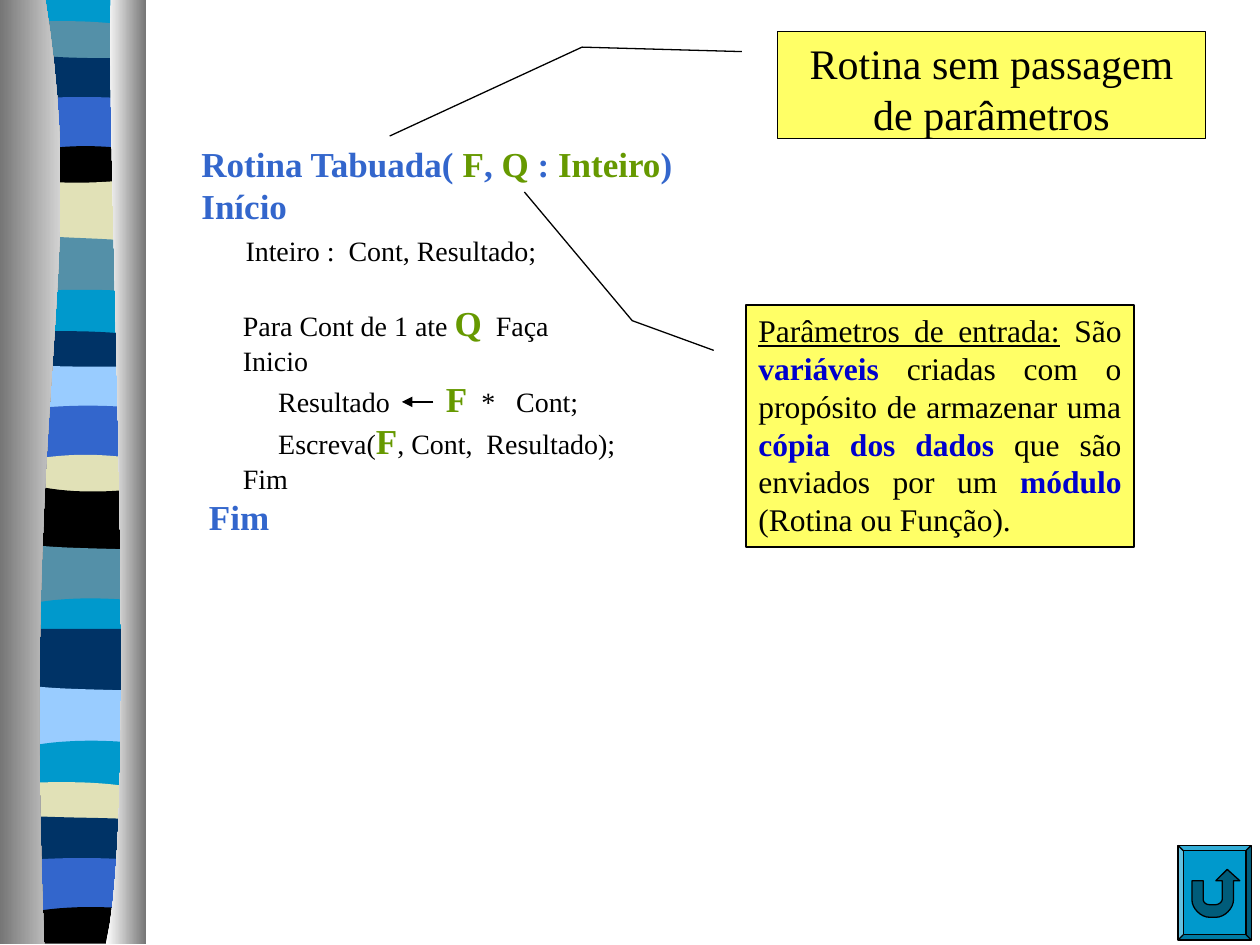
from dataclasses import dataclass
from typing import NamedTuple

from lxml import etree
from pptx import Presentation
from pptx.dml.color import RGBColor
from pptx.enum.shapes import MSO_CONNECTOR, MSO_SHAPE
from pptx.enum.text import MSO_ANCHOR, PP_ALIGN
from pptx.oxml.ns import qn
from pptx.util import Inches, Pt

CALLOUT, BEVEL = MSO_SHAPE.LINE_CALLOUT_2, MSO_SHAPE.BEVEL
STRAIGHT = MSO_CONNECTOR.STRAIGHT
LEFT, CENTER, JUSTIFY = PP_ALIGN.LEFT, PP_ALIGN.CENTER, PP_ALIGN.JUSTIFY
TOP = MSO_ANCHOR.TOP
FONT = "Times New Roman"
COLORS = {
    "black": "000000", "white": "FFFFFF", "silver": "D3D3D3", "gray": "767676",
    "cyan": "0099CC", "steel": "5490A8", "navy": "003366", "blue": "3366CC",
    "sand": "E1E1B7", "sky": "99CCFF", "green": "669900", "yellow": "FFFF66",
    "deep blue": "0000CC", "dark cyan": "005C7A",
}


class Span(NamedTuple):
    text: str
    size: float = 16
    color: str = "black"
    bold: bool = False
    underline: bool = False
    spacing: float = 0  # extra points after each character


class Line(NamedTuple):
    spans: list[Span]
    indent: float = 0
    before: float = 0


class Band(NamedTuple):
    color: str
    left: float
    middle: float
    right: float


@dataclass
class Callout:
    box: tuple[float, float, float, float]
    adjustments: list[float]
    align: PP_ALIGN
    spans: list[Span]


def rgb(name: str) -> RGBColor:
    return RGBColor.from_string(COLORS[name])


def curve(start, control_1, control_2, end, steps=24) -> list:
    """Points along a cubic curve, both ends included."""
    points = []
    for step in range(steps + 1):
        t = step / steps
        weights = ((1 - t) ** 3, 3 * t * (1 - t) ** 2, 3 * t * t * (1 - t), t ** 3)
        corners = (start, control_1, control_2, end)
        points.append(tuple(sum(w * c[axis] for w, c in zip(weights, corners))
                            for axis in (0, 1)))
    return points


def add_outline(slide, points: list):
    start, *rest = [(Inches(x), Inches(y)) for x, y in points]
    builder = slide.shapes.build_freeform(*start)
    builder.add_line_segments(rest, close=True)
    shape = builder.convert_to_shape()
    shape.shadow.inherit = False
    shape.line.fill.background()
    return shape


def fill_solid(shape, color: str, outlined: bool = False) -> None:
    shape.fill.solid()
    shape.fill.fore_color.rgb = rgb(color)
    if outlined:
        shape.line.color.rgb = rgb("black")
        shape.line.width = Pt(0.75)


def fill_gradient(shape, first: str, last: str) -> None:
    shape.fill.gradient()
    shape.fill.gradient_angle = 0
    for stop, color in zip(shape.fill.gradient_stops, (first, last)):
        stop.color.rgb = rgb(color)


def add_band(slide, band: Band, bottom: float) -> None:
    left, right = 0.3, 1.0
    # Control height that makes the wave pass through the band's middle
    control = (4 * band.middle - (band.left + band.right) / 2) / 3
    wave = curve((left, band.left), (0.53, control), (0.77, control), (right, band.right), 12)
    fill_solid(add_outline(slide, wave + [(right, bottom), (left, bottom)]), band.color)


def write_spans(paragraph, spans: list[Span]) -> None:
    for span in spans:
        run = paragraph.add_run()
        run.text = span.text
        run.font.name, run.font.size = FONT, Pt(span.size)
        run.font.bold, run.font.underline = span.bold, span.underline
        run.font.color.rgb = rgb(span.color)
        if span.spacing:
            run._r.get_or_add_rPr().set("spc", str(round(span.spacing * 100)))


def add_code(slide, lines: list[Line]) -> None:
    box = slide.shapes.add_textbox(Inches(1.5), Inches(1.08), Inches(4.08), Inches(3.24))
    frame = box.text_frame
    frame.word_wrap = True
    for index, line in enumerate(lines):
        paragraph = frame.add_paragraph() if index else frame.paragraphs[0]
        paragraph.alignment = LEFT
        paragraph.space_before = Pt(line.before)
        properties = paragraph._p.get_or_add_pPr()
        properties.set("marL", "0")
        properties.set("indent", str(Inches(line.indent)))
        write_spans(paragraph, line.spans)


def add_callout(slide, callout: Callout) -> None:
    shape = slide.shapes.add_shape(CALLOUT, *map(Inches, callout.box))
    shape.shadow.inherit = False
    fill_solid(shape, "yellow", outlined=True)
    for index, value in enumerate(callout.adjustments):
        shape.adjustments[index] = value
    frame = shape.text_frame
    frame.word_wrap, frame.vertical_anchor = True, TOP
    frame.paragraphs[0].alignment = callout.align
    write_spans(frame.paragraphs[0], callout.spans)


def add_arrow(slide, start: tuple, end: tuple) -> None:
    arrow = slide.shapes.add_connector(STRAIGHT, *map(Inches, start + end))
    arrow.line.color.rgb = rgb("black")
    arrow.line.width = Pt(0.75)
    etree.SubElement(arrow.line._get_or_add_ln(), qn("a:tailEnd"), type="triangle")
    etree.SubElement(arrow._element.spPr, qn("a:effectLst"))


def add_return_button(slide) -> None:
    button = slide.shapes.add_shape(BEVEL, *map(Inches, (9.35, 6.71, 0.58, 0.75)))
    button.shadow.inherit = False
    button.adjustments[0] = 0.07
    fill_solid(button, "cyan", outlined=True)
    inner = (curve((9.55, 7.14), (9.55, 7.16), (9.57, 7.18), (9.6, 7.18), 6)
             + curve((9.65, 7.18), (9.67, 7.18), (9.7, 7.16), (9.7, 7.14), 6))
    head = [(9.7, 6.99), (9.65, 6.99), (9.74, 6.9), (9.84, 6.99), (9.79, 6.99)]
    outer = (curve((9.79, 7.14), (9.79, 7.21), (9.72, 7.28), (9.65, 7.28), 8)
             + curve((9.6, 7.28), (9.53, 7.28), (9.46, 7.21), (9.46, 7.14), 8))
    arrow = add_outline(slide, [(9.46, 6.99), (9.55, 6.99)] + inner + head + outer)
    fill_solid(arrow, "dark cyan", outlined=True)


BANDS = [
    Band("cyan", 0, 0, 0), Band("steel", 0.17, 0.17, 0.2),
    Band("navy", 0.44, 0.46, 0.46), Band("blue", 0.78, 0.77, 0.78),
    Band("black", 1.19, 1.16, 1.18), Band("sand", 1.44, 1.45, 1.43),
    Band("steel", 1.87, 1.89, 1.91), Band("cyan", 2.31, 2.3, 2.31),
    Band("navy", 2.63, 2.63, 2.65), Band("sky", 2.9, 2.91, 2.91),
    Band("blue", 3.24, 3.22, 3.23), Band("sand", 3.64, 3.61, 3.63),
    Band("black", 3.86, 3.9, 3.89), Band("steel", 4.33, 4.35, 4.36),
    Band("cyan", 4.78, 4.75, 4.76), Band("navy", 4.99, 4.99, 4.99),
    Band("sky", 5.45, 5.47, 5.48), Band("cyan", 5.91, 5.88, 5.89),
    Band("sand", 6.21, 6.21, 6.24), Band("navy", 6.48, 6.49, 6.5),
    Band("blue", 6.82, 6.81, 6.82), Band("black", 7.23, 7.2, 7.21),
]


def keyword(text: str, color: str = "blue") -> Span:
    return Span(text, 20, color, True)


def strong(text: str) -> Span:
    return Span(text, 18, "deep blue", True)


CODE = [
    Line([keyword("Rotina Tabuada( "), keyword("F", "green"), keyword(", "),
          keyword("Q ", "green"), keyword(": "), keyword("Inteiro", "green"), keyword(")")]),
    Line([keyword("Início")]),
    Line([Span("Inteiro :  Cont, Resultado;")], 0.35, 4),
    Line([Span("Para Cont de 1 ate "), keyword("Q", "green"), Span("  Faça")], 0.33, 20),
    Line([Span("Inicio")], 0.33),
    # The widened space leaves room for the assignment arrow
    Line([Span("Resultado"), Span(" ", spacing=28), keyword("F", "green"),
          Span("  *   Cont;")], 0.61),
    Line([Span("Escreva("), keyword("F", "green"), Span(", Cont,  Resultado);")], 0.61),
    Line([Span("Fim")], 0.33),
    Line([keyword("Fim")], 0.06),
]
CALLOUTS = [
    Callout((6.17, 0.25, 3.4, 0.85), [0.188, -0.083, 0.146, -0.456, 0.976, -0.905], CENTER,
            [Span("Rotina sem passagem de parâmetros", 24)]),
    Callout((5.92, 2.42, 3.08, 1.92), [0.188, -0.083, 0.065, -0.293, -0.467, -0.571], JUSTIFY,
            [Span("Parâmetros de entrada:", 18, underline=True), Span(" São ", 18),
             strong("variáveis"), Span(" criadas com o propósito de armazenar uma ", 18),
             strong("cópia dos dados"), Span(" que são enviados por um ", 18),
             strong("módulo"), Span(" (Rotina ou Função).", 18)]),
]


def main() -> None:
    presentation = Presentation()
    presentation.slide_width, presentation.slide_height = Inches(10), Inches(7.5)
    slide = presentation.slides.add_slide(presentation.slide_layouts[6])
    # Striped ribbon between two shaded edges
    for band, following in zip(BANDS, BANDS[1:] + [Band("black", 7.49, 7.49, 7.49)]):
        add_band(slide, band, min(following.middle + 0.1, 7.49))
    left_edge = curve((0.36, 0), (0.71, 2.16), (0.17, 2.96), (0.35, 7.49))
    fill_gradient(add_outline(slide, left_edge + [(0, 7.49), (0, 0)]), "gray", "silver")
    right_edge = curve((0.88, 0), (0.84, 1.25), (1.11, 6.46), (0.84, 7.49))
    fill_gradient(add_outline(slide, right_edge + [(1.16, 7.49), (1.16, 0)]), "white", "gray")
    # Routine, its notes and the assignment arrow
    add_code(slide, CODE)
    add_return_button(slide)
    for callout in CALLOUTS:
        add_callout(slide, callout)
    add_arrow(slide, (3.44, 3.19), (3.19, 3.19))
    presentation.save("out.pptx")


if __name__ == "__main__":
    main()
